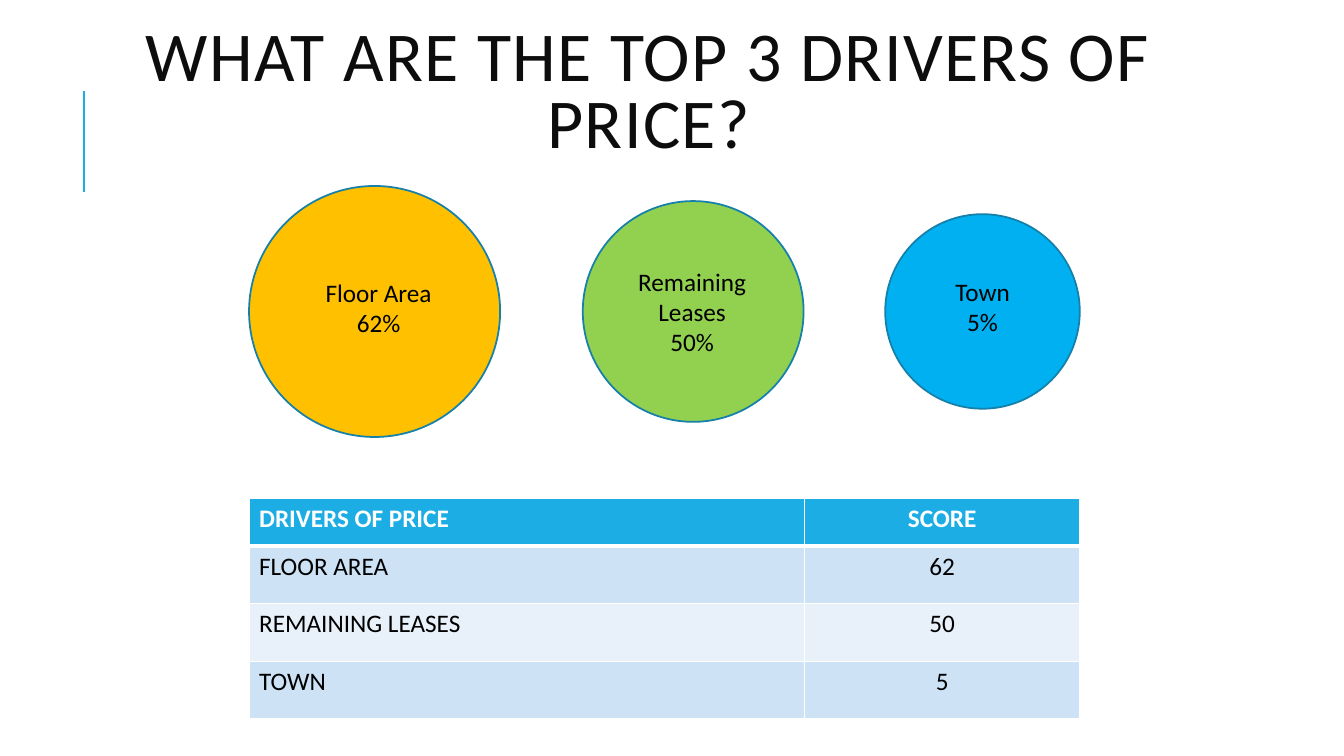
import dataclasses

import lxml.etree
import pptx
import pptx.chart.data
import pptx.dml.color
import pptx.enum.shapes
import pptx.enum.text
import pptx.oxml
import pptx.oxml.ns
import pptx.util

Inches = pptx.util.Inches
Pt = pptx.util.Pt
ALIGN = pptx.enum.text.PP_ALIGN
ANCHOR = pptx.enum.text.MSO_ANCHOR


@dataclasses.dataclass(frozen=True)
class Theme:
    """Colours, font and type sizes of the slide."""
    font: str = "Calibri"
    title: int = 50
    body: int = 18
    ink: str = "000000"
    head: str = "0D0D0D"
    white: str = "FFFFFF"
    accent: str = "1CADE4"
    edge: str = "1580A9"
    gold: str = "FFC000"
    green: str = "92D050"
    blue: str = "00B0F0"
    bands: tuple = ("CDE3F5", "E8F1FA")


def rgb(code):
    """Turn a hex code into a colour."""
    return pptx.dml.color.RGBColor.from_string(code)


def write(frame, text, font, size, color, bold=False, align=ALIGN.CENTER,
          anchor=ANCHOR.TOP, leading=None, track=None):
    """Fill a text frame, one paragraph per line of text."""
    frame.word_wrap = True
    frame.vertical_anchor = anchor
    for i, line in enumerate(text.split("\n")):
        para = frame.paragraphs[0] if i == 0 else frame.add_paragraph()
        para.alignment = align
        if leading:
            para.line_spacing = leading
        run = para.add_run()
        run.text = line
        run.font.name = font
        run.font.size = Pt(size)
        run.font.bold = bold
        run.font.color.rgb = rgb(color)
        if track:
            run.font._element.set("spc", str(track * 100))


class Board:
    """Draws styled elements on one slide."""

    def __init__(self, slide, theme):
        self.shapes = slide.shapes
        self.theme = theme

    def rule(self, x, top, end):
        """Draw an upright accent line."""
        line = self.shapes.add_connector(
            pptx.enum.shapes.MSO_CONNECTOR.STRAIGHT,
            Inches(x), Inches(end), Inches(x), Inches(top))
        line.line.color.rgb = rgb(self.theme.accent)
        line.line.width = Pt(1.5)
        lxml.etree.SubElement(line._element.spPr, pptx.oxml.ns.qn("a:effectLst"))

    def text(self, text, x, y, w, h, **style):
        """Add a text box."""
        box = self.shapes.add_textbox(Inches(x), Inches(y), Inches(w), Inches(h))
        look = dict(font=self.theme.font, size=self.theme.body, color=self.theme.ink)
        write(box.text_frame, text, **(look | style))

    def circle(self, x, mid, size, fill):
        """Draw a circle centred on the height mid."""
        disc = self.shapes.add_shape(
            pptx.enum.shapes.MSO_SHAPE.OVAL,
            Inches(x), Inches(mid - size / 2), Inches(size), Inches(size))
        disc.shadow.inherit = False
        disc.fill.solid()
        disc.fill.fore_color.rgb = rgb(fill)
        disc.line.color.rgb = rgb(self.theme.edge)
        disc.line.width = Pt(1.25)

    def border(self, cell, top, base):
        """Set the white borders of a cell, widths in points."""
        props = cell._tc.get_or_add_tcPr()
        for side, width in (("L", 1), ("R", 1), ("T", top), ("B", base)):
            props.append(pptx.oxml.parse_xml(
                f'<a:ln{side} {pptx.oxml.ns.nsdecls("a")} w="{Pt(width)}">'
                f'<a:solidFill><a:srgbClr val="{self.theme.white}"/></a:solidFill>'
                f'</a:ln{side}>'))

    def table(self, rows, x, y, widths, heights):
        """Add a table with a header row and banded body."""
        theme = self.theme
        grid = self.shapes.add_table(
            len(rows), len(widths), Inches(x), Inches(y),
            Inches(sum(widths)), Inches(sum(heights))).table
        grid.horz_banding = False
        for col, width in zip(grid.columns, widths):
            col.width = Inches(width)
        for r, row in enumerate(rows):
            grid.rows[r].height = Inches(heights[r])
            top = r == 0
            for c, text in enumerate(row):
                cell = grid.cell(r, c)
                self.border(cell, 3 if r == 1 else 1, 3 if top else 1)
                cell.fill.solid()
                cell.fill.fore_color.rgb = rgb(
                    theme.accent if top else theme.bands[(r - 1) % 2])
                write(cell.text_frame, text, theme.font, theme.body,
                      theme.white if top else theme.ink, bold=top,
                      align=ALIGN.CENTER if c else ALIGN.LEFT)


def main():
    """Build and save the slide."""
    deck = pptx.Presentation()
    deck.slide_width = Inches(13.33)
    deck.slide_height = Inches(7.5)
    theme = Theme()
    board = Board(deck.slides.add_slide(deck.slide_layouts[6]), theme)

    board.rule(0.83, 0.9, 1.9)
    board.text("WHAT ARE THE TOP 3 DRIVERS OF PRICE?", 1.12, 0.12, 10.63, 1.64,
               size=theme.title, color=theme.head, anchor=ANCHOR.MIDDLE,
               leading=0.8, track=1)

    for x, size, fill in ((2.47, 2.49, theme.gold), (5.78, 2.19, theme.green),
                          (8.78, 1.93, theme.blue)):
        board.circle(x, 3.09, size, fill)
    for text, x, y, h in (("Floor Area\n62%", 2.95, 2.7, 0.71),
                          ("Remaining Leases\n50%", 6.06, 2.59, 1.01),
                          ("Town\n5%", 8.94, 2.69, 0.71)):
        board.text(text, x, y, 1.61, h)

    rows = (("DRIVERS OF PRICE", "SCORE"), ("FLOOR AREA", "62"),
            ("REMAINING LEASES", "50"), ("TOWN", "5"))
    board.table(rows, 2.47, 4.94, (5.51, 2.73), (0.48, 0.57, 0.57, 0.57))
    deck.save("out.pptx")


if __name__ == "__main__":
    main()
